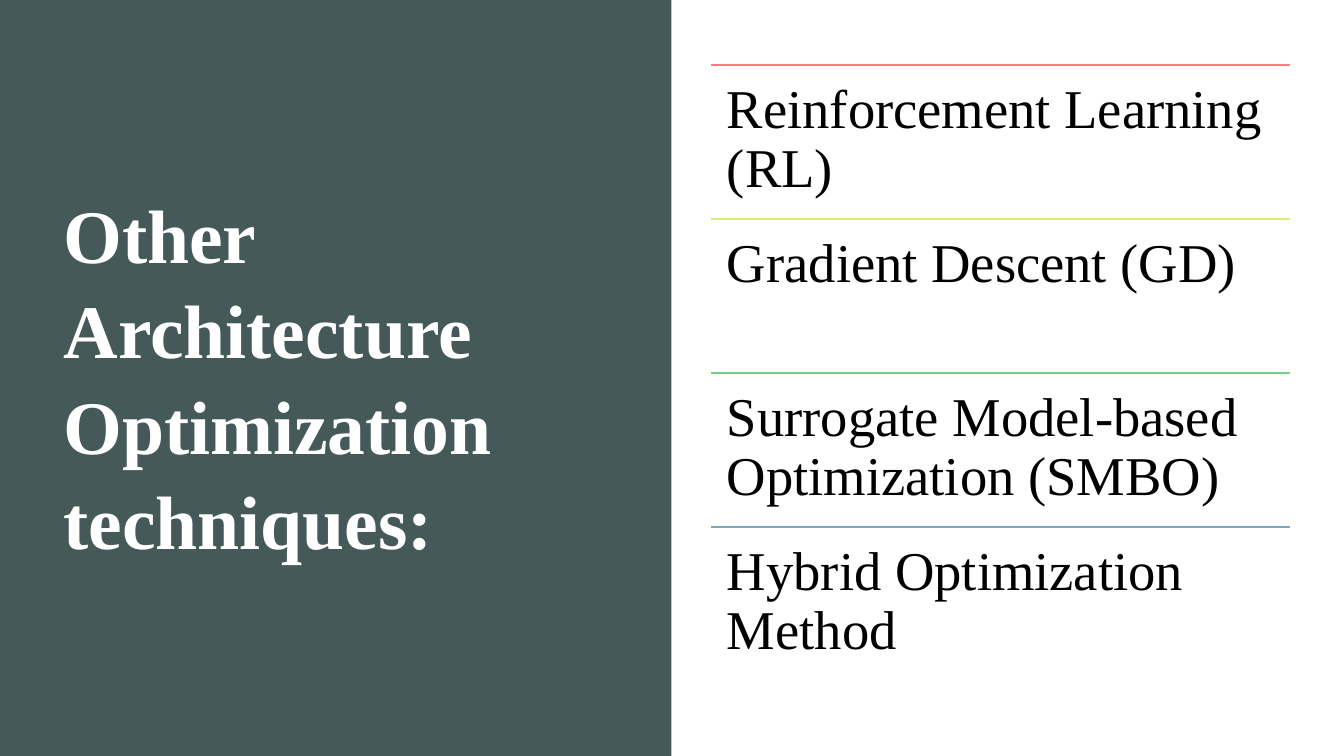
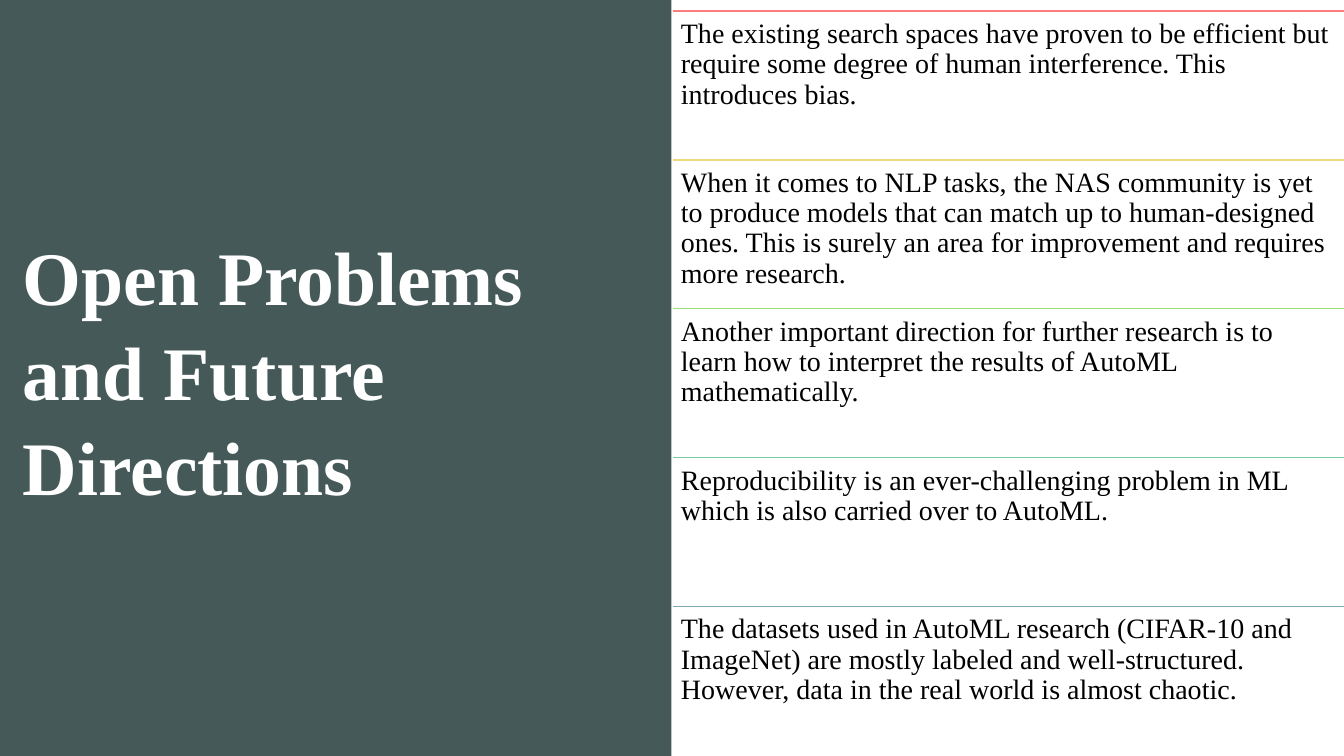
from dataclasses import dataclass

from lxml.etree import SubElement
from pptx import Presentation
from pptx.dml.color import RGBColor
from pptx.enum.shapes import MSO_CONNECTOR, MSO_SHAPE
from pptx.enum.text import MSO_ANCHOR
from pptx.oxml.ns import qn
from pptx.slide import Slide
from pptx.util import Cm, Pt

WIDE, HIGH, HALF = 33.87, 19.05, 16.92
BLANK = 6
HEX = {
    "panel": "465959", "white": "FFFFFF", "black": "000000",
    "red": "FD7C7C", "gold": "F0D978", "lemon": "E2EA77", "lime": "9FDF76",
    "green": "77D285", "mint": "78CC9C", "blue": "7DA8B5",
}
FONT = {"name": "Times New Roman"}
TITLE = FONT | {"size": Pt(54), "bold": True}
SIDES = ("left", "top", "right", "bottom")


@dataclass(frozen=True)
class Box:
    left: float
    top: float
    width: float
    height: float


@dataclass(frozen=True)
class Row:
    text: str
    hue: str


@dataclass(frozen=True)
class Page:
    title: str
    head: Box
    first: Box
    inset: float
    size: int
    rows: tuple[Row, ...]


PAGES = (
    Page(
        "Other Architecture Optimization techniques:",
        Box(1.35, 1.35, 14.1, 16.15), Box(17.91, 1.64, 14.6, 3.88), 0.41, 39,
        (
            Row("Reinforcement Learning (RL)", "red"),
            Row("Gradient Descent (GD)", "lemon"),
            Row("Surrogate Model-based Optimization (SMBO)", "green"),
            Row("Hybrid Optimization Method", "blue"),
        ),
    ),
    Page(
        "Open Problems and Future Directions",
        Box(0.33, 1.04, 16.59, 16.46), Box(16.95, 0.28, 16.92, 3.75), 0.21, 20,
        (
            Row("The existing search spaces have proven to be efficient but require "
                "some degree of human interference. This introduces bias.", "red"),
            Row("When it comes to NLP tasks, the NAS community is yet to produce models "
                "that can match up to human-designed ones. This is surely an area for "
                "improvement and requires more research.", "gold"),
            Row("Another important direction for further research is to learn how to "
                "interpret the results of AutoML mathematically.", "lime"),
            Row("Reproducibility is an ever-challenging problem in ML which is also "
                "carried over to AutoML.", "mint"),
            Row("The datasets used in AutoML research (CIFAR-10 and ImageNet) are mostly "
                "labeled and well-structured. However, data in the real world is almost "
                "chaotic.", "blue"),
        ),
    ),
)


def paint(hue: str) -> RGBColor:
    return RGBColor.from_string(HEX[hue])


def write(slide: Slide, box: Box, text: str, hue: str, font: dict, frame: dict, space: float) -> None:
    shape = slide.shapes.add_textbox(Cm(box.left), Cm(box.top), Cm(box.width), Cm(box.height))
    body = shape.text_frame
    para = body.paragraphs[0]
    run = para.add_run()
    run.text = text
    run.font.color.rgb = paint(hue)
    para.line_spacing = space
    for part, style in ((run.font, font), (body, {"word_wrap": True} | frame)):
        for key, value in style.items():
            setattr(part, key, value)


def rule(slide: Slide, box: Box, hue: str) -> None:
    line = slide.shapes.add_connector(
        MSO_CONNECTOR.STRAIGHT, Cm(box.left), Cm(box.top), Cm(box.left + box.width), Cm(box.top))
    line.line.color.rgb = paint(hue)
    line.line.width = Pt(1)
    SubElement(line._element.spPr, qn("a:effectLst"))


def panel(slide: Slide) -> None:
    shape = slide.shapes.add_shape(MSO_SHAPE.RECTANGLE, 0, 0, Cm(HALF), Cm(HIGH))
    shape.shadow.inherit = False
    shape.fill.solid()
    shape.fill.fore_color.rgb = paint("panel")
    shape.line.fill.background()


def draw(slide: Slide, page: Page) -> None:
    panel(slide)
    write(slide, page.head, page.title, "white", TITLE, {"vertical_anchor": MSO_ANCHOR.MIDDLE}, 1.05)
    font = FONT | {"size": Pt(page.size)}
    frame = {f"margin_{side}": Cm(page.inset) for side in SIDES}
    first = page.first
    for index, row in enumerate(page.rows):
        box = Box(first.left, first.top + index * first.height, first.width, first.height)
        rule(slide, box, row.hue)
        write(slide, box, row.text, "black", font, frame, 0.9)


def main() -> None:
    """Build the two split slides and save the deck."""
    deck = Presentation()
    deck.slide_width, deck.slide_height = Cm(WIDE), Cm(HIGH)
    for page in PAGES:
        draw(deck.slides.add_slide(deck.slide_layouts[BLANK]), page)
    deck.save("out.pptx")


if __name__ == "__main__":
    main()
